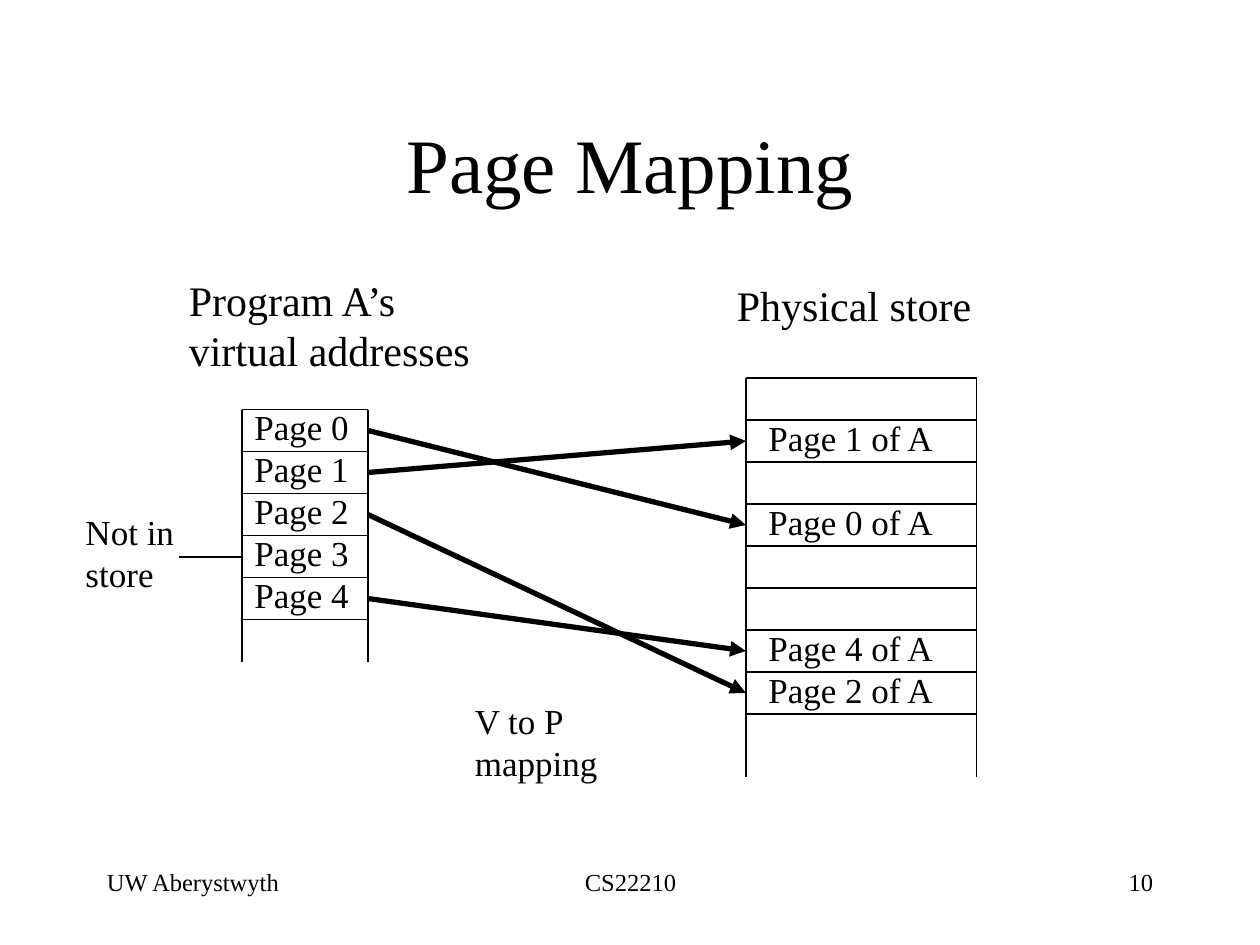
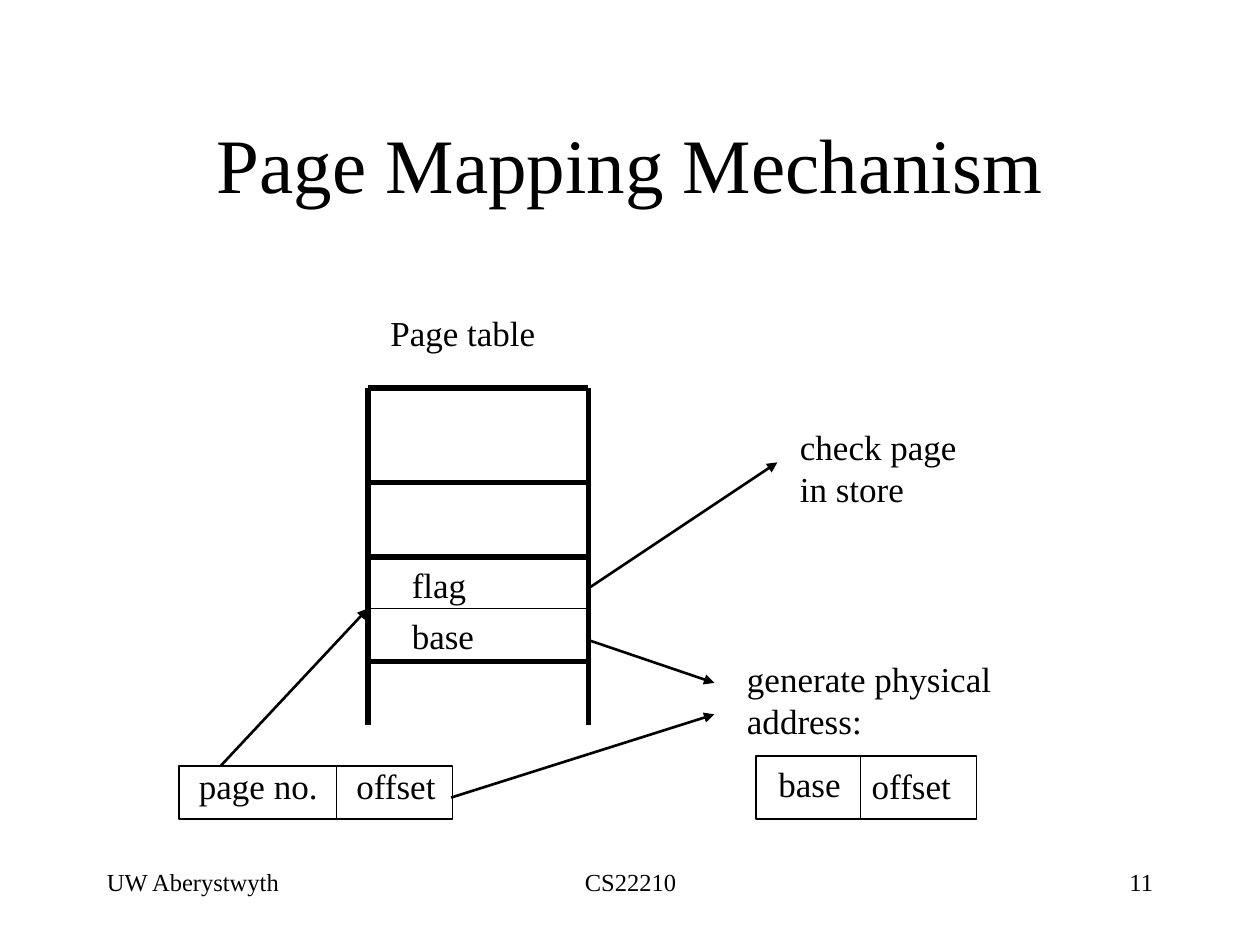
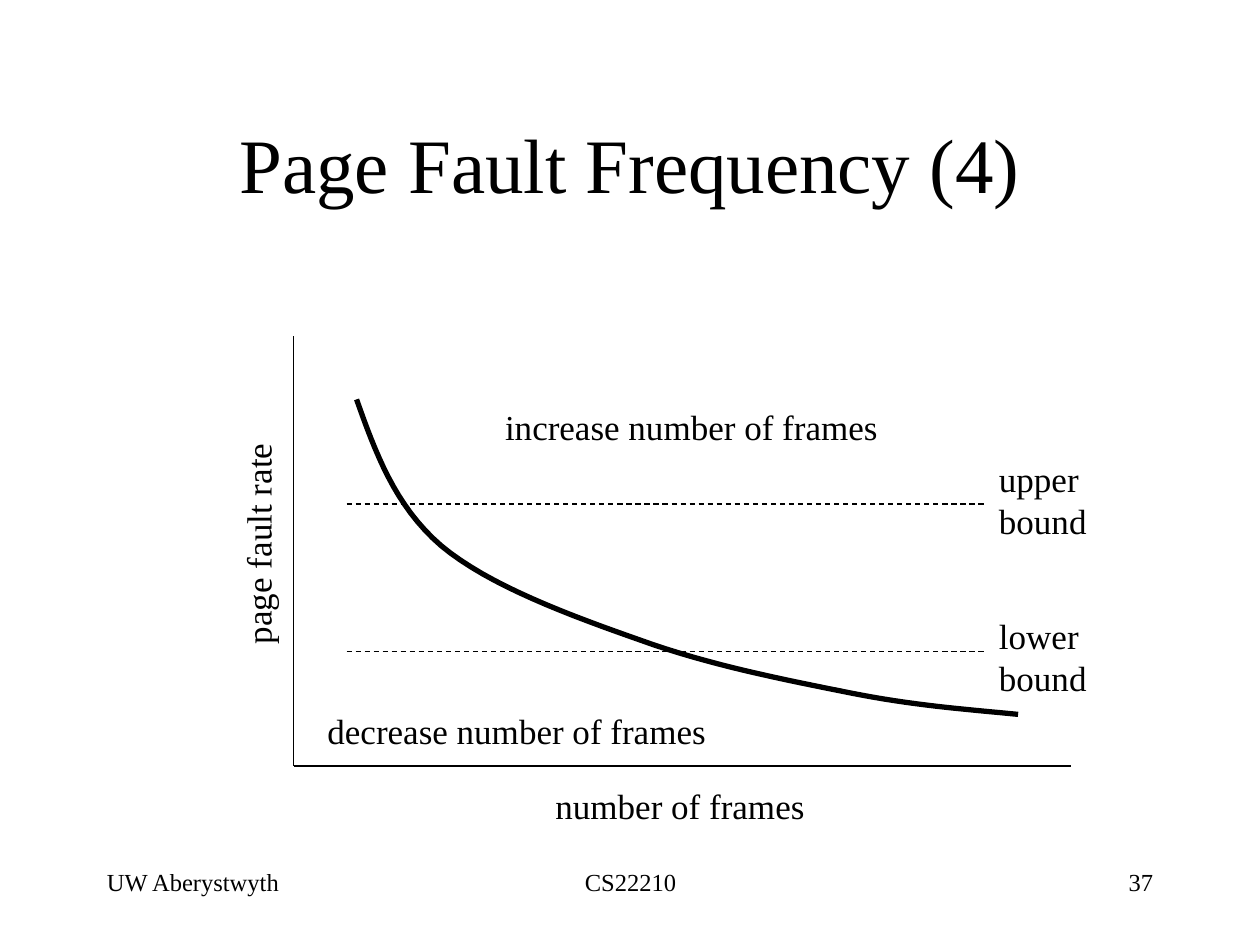
from lxml import etree
from pptx import Presentation
from pptx.dml.color import RGBColor
from pptx.enum.dml import MSO_LINE
from pptx.enum.shapes import MSO_CONNECTOR, MSO_SHAPE
from pptx.enum.text import MSO_ANCHOR, MSO_AUTO_SIZE, PP_ALIGN
from pptx.oxml.ns import qn
from pptx.util import Inches, Pt

LEFT, CENTER, RIGHT = PP_ALIGN.LEFT, PP_ALIGN.CENTER, PP_ALIGN.RIGHT
MIDDLE, NO_RESIZE = MSO_ANCHOR.MIDDLE, MSO_AUTO_SIZE.NONE
STRAIGHT, RECTANGLE, DASH = MSO_CONNECTOR.STRAIGHT, MSO_SHAPE.RECTANGLE, MSO_LINE.DASH

FONT = "Times New Roman"
INK = RGBColor.from_string("000000")
PAPER = RGBColor.from_string("FFFFFF")
THIN, MEDIUM, THICK = 0.75, 1.5, 3


def write(shape, text, left, top, width, height, size=20, align=LEFT):
    slack = 0.05 if align == LEFT else 0
    shape.left, shape.top = Inches(left), Inches(top)
    shape.width, shape.height = Inches(width + slack), Inches(height)
    frame = shape.text_frame
    frame.word_wrap = True
    frame.auto_size = NO_RESIZE
    paragraph = frame.paragraphs[0]
    paragraph.alignment = align
    for number, line in enumerate(text.split("\n")):
        if number:
            paragraph.add_line_break()
        run = paragraph.add_run()
        run.text = line
        run.font.name = FONT
        run.font.size = Pt(size)
        run.font.color.rgb = INK


def draw_line(slide, x1, y1, x2, y2, weight=THIN, arrow=False, dash=None):
    connector = slide.shapes.add_connector(
        STRAIGHT, Inches(x1), Inches(y1), Inches(x2), Inches(y2))
    connector.line.color.rgb = INK
    connector.line.width = Pt(weight)
    if dash:
        connector.line.dash_style = dash
    properties = connector._element.spPr
    if arrow:
        etree.SubElement(properties.find(qn("a:ln")), qn("a:tailEnd"), type="triangle")
    etree.SubElement(properties, qn("a:effectLst"))


presentation = Presentation()
presentation.slide_width = Inches(10)
presentation.slide_height = Inches(7.5)
title_only = presentation.slide_layouts[5]

slides = []
for title, number in [("Page Mapping", "10"), ("Page Mapping Mechanism", "11"),
                      ("Page Fault Frequency (4)", "37")]:
    slide = presentation.slides.add_slide(title_only)
    slide.background.fill.solid()
    slide.background.fill.fore_color.rgb = PAPER
    write(slide.shapes.title, title, 0.75, 0.67, 8.5, 1.25, 44, CENTER)
    slide.shapes.title.text_frame.vertical_anchor = MIDDLE
    for text, left, width, align in [("UW Aberystwyth", 0.75, 2.08, LEFT),
                                     ("CS22210", 3.42, 3.17, CENTER),
                                     (number, 7.17, 2.08, RIGHT)]:
        footer = slide.shapes.add_textbox(0, 0, 0, 0)
        write(footer, text, left, 6.83, width, 0.5, 14, align)
    slides.append(slide)
mapping, mechanism, frequency = slides

ROW = 1 / 3
PAGES_LEFT, PAGES_RIGHT, PAGES_TOP = 1.92, 2.92, 3.25
STORE_LEFT, STORE_RIGHT, STORE_TOP = 5.92, 7.75, 3
frame_of_page = {0: 3, 1: 1, 2: 7, 4: 6}

for left, right, top, bottom, rows in [
        (PAGES_LEFT, PAGES_RIGHT, PAGES_TOP, 5.25, 5),
        (STORE_LEFT, STORE_RIGHT, STORE_TOP, 6.17, 8)]:
    for x in (left, right):
        draw_line(mapping, x, top, x, bottom)
    for row in range(rows + 1):
        draw_line(mapping, left, top + row * ROW, right, top + row * ROW)

mapping_labels = [
    ("Program A’s\nvirtual addresses", 1.4, 2.13, 2.43, 0.9, 24),
    ("Physical store", 5.75, 2.17, 2.06, 0.5, 24),
    ("Not in\nstore", 0.58, 4, 0.9, 0.77, 20),
    ("V to P\nmapping", 3.67, 5.5, 1.17, 0.77, 20),
]
for page in range(5):
    mapping_labels.append(
        (f"Page {page}", PAGES_LEFT, PAGES_TOP - 0.08 + page * ROW, 0.95, 0.44, 20))
for page, frame in frame_of_page.items():
    mapping_labels.append(
        (f"Page {page} of A", 6, STORE_TOP - 0.08 + frame * ROW, 1.52, 0.44, 20))
    draw_line(mapping, PAGES_RIGHT, PAGES_TOP + (page + 0.5) * ROW,
              STORE_LEFT, STORE_TOP + (frame + 0.5) * ROW, THICK, arrow=True)
for label in mapping_labels:
    write(mapping.shapes.add_textbox(0, 0, 0, 0), *label)
draw_line(mapping, 1.42, 4.42, PAGES_LEFT, 4.42, 1)

TABLE_LEFT, TABLE_RIGHT, TABLE_TOP = 2.92, 4.67, 3.08
for x in (TABLE_LEFT, TABLE_RIGHT):
    draw_line(mechanism, x, TABLE_TOP, x, 5.75, THICK)
for y, weight in [(TABLE_TOP, THICK), (3.83, THICK), (4.42, THICK),
                  (4.83, THIN), (5.25, THICK)]:
    draw_line(mechanism, TABLE_LEFT, y, TABLE_RIGHT, y, weight)

for left, top, width, height, divider in [(1.42, 6.08, 2.17, 0.42, 2.67),
                                          (6, 6, 1.75, 0.5, 6.83)]:
    address = mechanism.shapes.add_shape(
        RECTANGLE, Inches(left), Inches(top), Inches(width), Inches(height))
    address.shadow.inherit = False
    address.fill.background()
    address.line.color.rgb = INK
    address.line.width = Pt(THIN)
    draw_line(mechanism, divider, top, divider, top + height)

for label in [
    ("Page table", 3, 2.42, 1.35, 0.44),
    ("flag", 3.17, 4.42, 0.63, 0.44),
    ("base", 3.17, 4.83, 0.69, 0.44),
    ("page no.", 1.48, 6.02, 1.14, 0.44),
    ("offset", 2.73, 6.02, 0.83, 0.44),
    ("base", 6.08, 6, 0.69, 0.44),
    ("offset", 6.82, 6.02, 0.83, 0.44),
    ("check page\nin store", 6.25, 3.33, 1.44, 0.77),
    ("generate physical\naddress:", 5.83, 5.17, 2.14, 0.77),
]:
    write(mechanism.shapes.add_textbox(0, 0, 0, 0), *label)

for ends in [(1.75, 6.08, TABLE_LEFT, 4.83), (TABLE_RIGHT, 4.67, 6.17, 3.67),
             (TABLE_RIGHT, 5.08, 5.67, 5.42), (3.58, 6.33, 5.67, 5.67)]:
    draw_line(mechanism, *ends, MEDIUM, arrow=True)

draw_line(frequency, 2.33, 2.67, 2.33, 6.08)
draw_line(frequency, 2.33, 6.08, 8.5, 6.08)
for bound in (4, 5.17):
    draw_line(frequency, 2.75, bound, 7.83, bound, dash=DASH)

for label in [
    ("number of frames", 4.31, 6.18, 2.18, 0.44),
    ("upper\nbound", 7.83, 3.58, 0.89, 0.77),
    ("lower\nbound", 7.83, 4.83, 0.89, 0.77),
    ("increase number of frames", 3.91, 3.17, 3.16, 0.44),
    ("decrease number of frames", 2.5, 5.58, 3.2, 0.44),
]:
    write(frequency.shapes.add_textbox(0, 0, 0, 0), *label)
axis_label = frequency.shapes.add_textbox(0, 0, 0, 0)
write(axis_label, "page fault rate", 1.13, 4.07, 1.79, 0.44)
axis_label.rotation = 270

STEPS = 16
controls = [(2.83, 3.17), (2.98, 3.59), (3.13, 4.01), (3.5, 4.33),
            (3.88, 4.65), (4.54, 4.89), (5.08, 5.08),
            (5.63, 5.28), (6.25, 5.4), (6.75, 5.5),
            (7.25, 5.6), (7.67, 5.63), (8.08, 5.67)]
curve_points = []
for first in range(0, len(controls) - 1, 3):
    segment = controls[first:first + 4]
    for step in range(1, STEPS + 1):
        t = step / STEPS
        weights = ((1 - t) ** 3, 3 * t * (1 - t) ** 2, 3 * t ** 2 * (1 - t), t ** 3)
        x = sum(weight * point[0] for weight, point in zip(weights, segment))
        y = sum(weight * point[1] for weight, point in zip(weights, segment))
        curve_points.append((Inches(x), Inches(y)))
builder = frequency.shapes.build_freeform(Inches(controls[0][0]), Inches(controls[0][1]))
builder.add_line_segments(curve_points, close=False)
curve = builder.convert_to_shape()
curve.shadow.inherit = False
curve.fill.background()
curve.line.color.rgb = INK
curve.line.width = Pt(THICK)

presentation.save("out.pptx")
